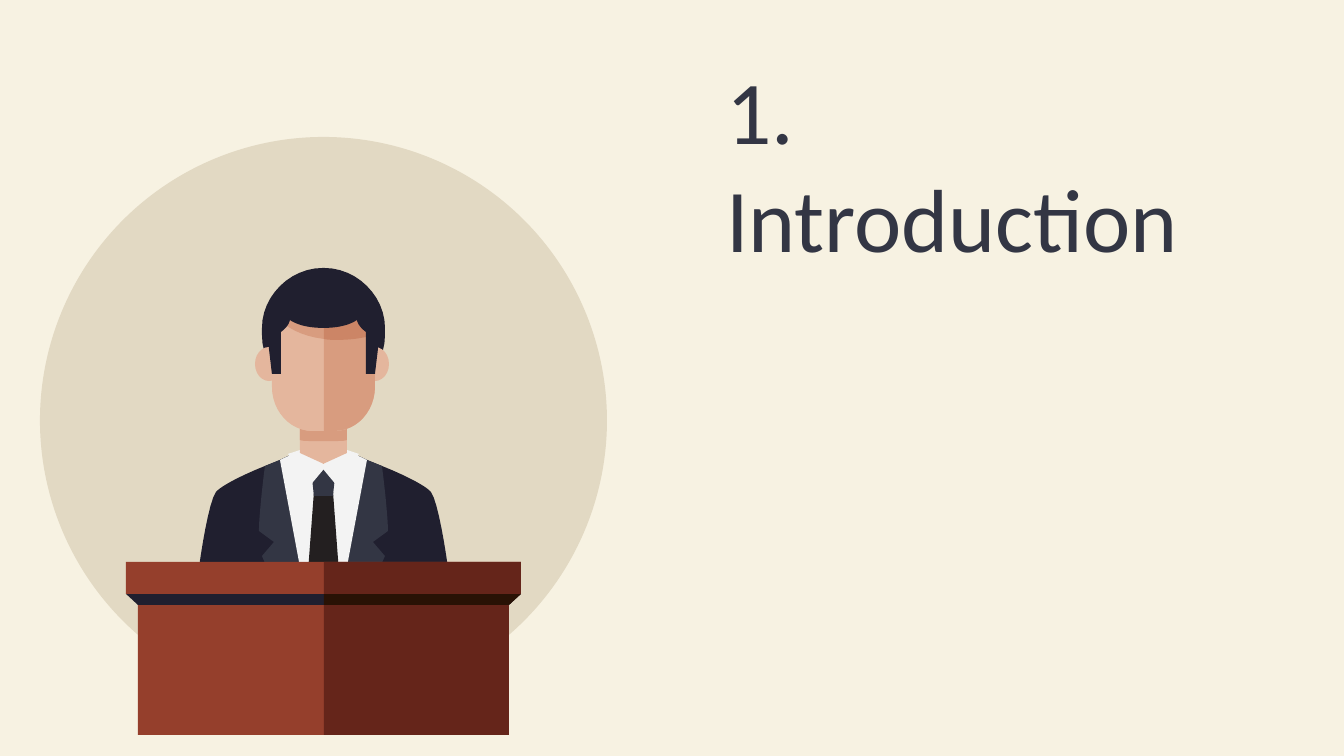
from pptx import Presentation, util as u
from pptx.dml.color import RGBColor
from pptx.enum import shapes, text

PX = 914400 / 134.4
AXIS = 647  # sum of the x values of two mirrored points
STEPS = 12  # segments per curve
INK = {
    "cream": "F7F2E2", "sand": "E2D9C3", "navy": "201F2F", "slate": "333644",
    "white": "F3F3F3", "black": "231F20", "skin": "E4B69D", "tan": "D89C7F",
    "brow": "CC8566", "wood": "953F2C", "dark": "65251A", "shade": "291205",
}

deck = Presentation()
deck.slide_width, deck.slide_height = round(1344 * PX), round(756 * PX)
slide = deck.slides.add_slide(deck.slide_layouts[6])
slide.background.fill.solid()
slide.background.fill.fore_color.rgb = RGBColor.from_string(INK["cream"])


def trace(path):
    """Turn points and (control, control, end) curves into plain points."""
    pts = []
    for step in path:
        if len(step) == 2:
            pts.append(step)
            continue
        ends = [pts[-1], step[:2], step[2:4], step[4:]]
        for i in range(1, STEPS + 1):
            t = i / STEPS
            mix = ((1 - t) ** 3, 3 * t * (1 - t) ** 2, 3 * t * t * (1 - t), t ** 3)
            pts.append(tuple(sum(m * p[k] for m, p in zip(mix, ends)) for k in (0, 1)))
    return pts


def draw(ink, form, *data):
    """Add a preset shape from a box, or an outline from a path.

    "even" closes a left half with its mirror image."""
    if form in ("oval", "box"):
        kind = shapes.MSO_SHAPE.OVAL if form == "oval" else shapes.MSO_SHAPE.RECTANGLE
        shape = slide.shapes.add_shape(kind, *(round(n * PX) for n in data))
    else:
        pts = trace(data)
        if form == "even":
            pts += [(AXIS - x, y) for x, y in reversed(pts)]
        pts = [(x * PX, y * PX) for x, y in pts]
        pen = slide.shapes.build_freeform(*pts[0])
        pen.add_line_segments(pts[1:], close=True)
        shape = pen.convert_to_shape()
    shape.shadow.inherit = False
    shape.fill.solid()
    shape.fill.fore_color.rgb = RGBColor.from_string(INK[ink])
    shape.line.fill.background()


# Title
box = slide.shapes.add_textbox(*(round(n * PX) for n in (713, 96, 546, 106)))
frame = box.text_frame
frame.word_wrap = True
frame.vertical_anchor = text.MSO_ANCHOR.MIDDLE
frame.margin_left = frame.margin_right = u.Inches(0.1)
frame.margin_top, frame.margin_bottom = u.Inches(0.2), 0
title = frame.paragraphs[0]
title.text = "1. Introduction"
title.font.name, title.font.size = "Calibri", u.Pt(48)
title.font.color.rgb = RGBColor.from_string(INK["slate"])

# Backdrop
draw("sand", "oval", 40, 137, 567, 567)

# Suit, shirt and tie
chest = (280, 460)
neck = (294, 453, 306, 449, 306, 449)
draw("navy", "even", (194, 606), (194, 606, 205, 508, 216, 492),
     (222, 485, 245, 474, 265, 466), chest, neck)
draw("slate", "even", (284, 606), (262, 556), (274, 542), (259, 531),
     (259, 516, 263, 481, 265, 466), chest, neck)
draw("white", "even", (308, 606), (306, 599), chest, neck)
draw("black", "even", (308, 606), (306, 599), (314, 491))
draw("slate", "even", (314, 496), (311, 468))
collar = [(300, 450), (288, 454), (309, 487), (324, 469), (324, 460)]
draw("white", "free", *collar)
draw("white", "free", *((AXIS - x, y) for x, y in collar))

# Neck
draw("skin", "even", (324, 464), (300, 453), (300, 421))
draw("tan", "even", (324, 441), (309, 441), (306, 441, 303, 441, 300, 440),
     (300, 429), (304, 430, 308, 431, 312, 431))

# Head
draw("navy", "even", (324, 395), (290, 395, 262, 369, 262, 335), (262, 328),
     (262, 296, 290, 268, 323, 268))
for left in (255, 361):
    draw("skin", "oval", left, 347, 28, 34)
draw("skin", "even", (324, 431), (312, 431), (290, 431, 272, 411, 272, 387), (272, 304))
draw("tan", "free", (324, 304), (274, 304), (274, 314), (274, 314, 288, 335, 324, 339))
draw("tan", "free", (324, 304), (375, 304), (375, 387),
     (375, 411, 357, 431, 335, 431), (324, 431))
draw("brow", "free", (324, 304), (324, 339), (328, 340, 332, 340, 337, 340),
     (348, 340, 360, 339, 375, 335), (375, 304))
draw("navy", "even", (324, 328), (309, 328, 297, 325, 290, 320),
     (289, 325, 285, 329, 281, 332), (281, 374), (272, 374), (269, 349),
     (269, 320), (272, 296), (278, 296, 308, 284, 324, 284))

# Podium
draw("wood", "box", 138, 601, 371, 134)
draw("dark", "box", 324, 605, 185, 130)
draw("navy", "even", (190, 583), (126, 594), (138, 605))
draw("shade", "free", (324, 594), (324, 605), (509, 605), (521, 594))
draw("wood", "box", 126, 562, 395, 32)
draw("dark", "box", 324, 562, 197, 32)

deck.save("out.pptx")
